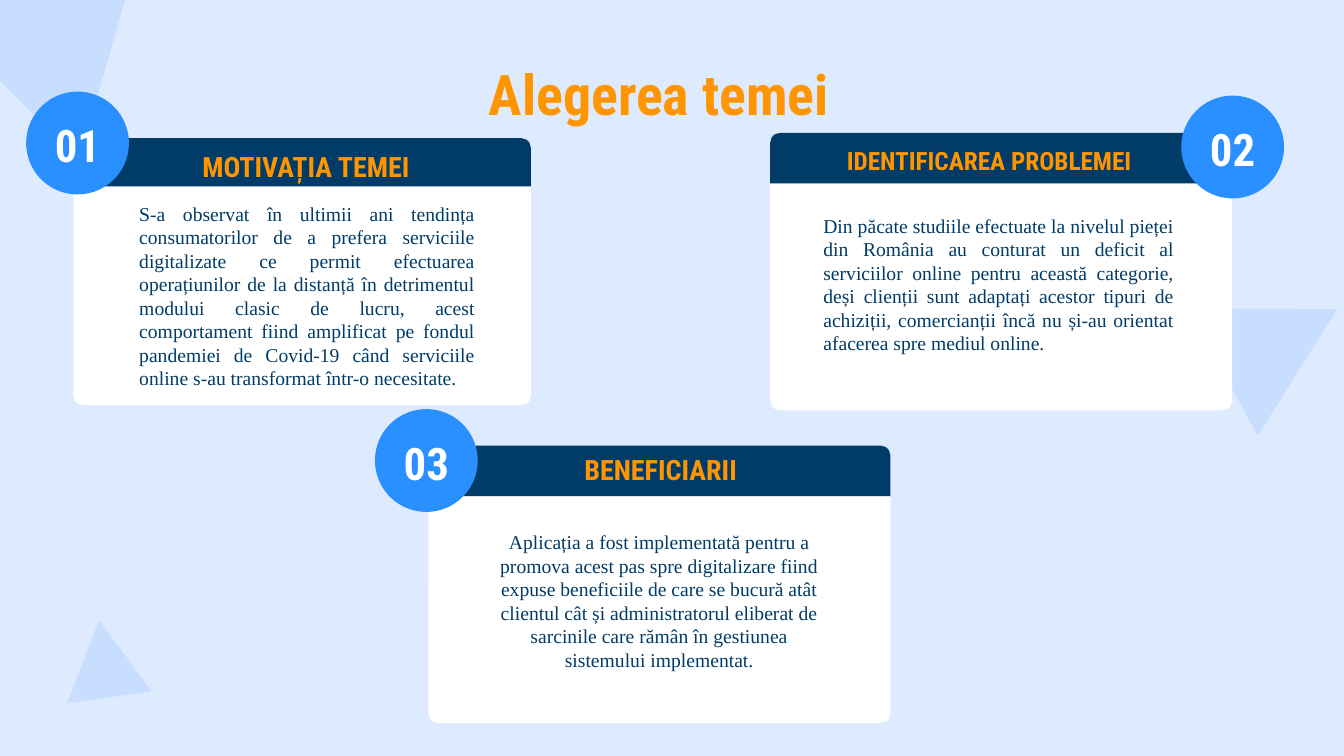
import pptx
import pptx.util
import pptx.dml.color
import pptx.enum.shapes
import pptx.enum.text

Cm, Pt = pptx.util.Cm, pptx.util.Pt
SHAPE = pptx.enum.shapes.MSO_SHAPE
ALIGN = pptx.enum.text.PP_ALIGN
ANCHOR = pptx.enum.text.MSO_ANCHOR

COLORS = {
    "background": "DEEBFF",
    "triangle": "C8DEFF",
    "card": "FFFFFF",
    "navy": "003C67",
    "badge": "2A90FF",
    "orange": "FF9500",
    "number": "FFFFFF",
}
HEADING_FONT = "Roboto Condensed"
BODY_FONT = "Times New Roman"
INSET = 0.33
RADIUS = 0.25
BADGE_SIZE = 2.59

TRIANGLES = [
    ((30.43, 6.93, 3.66, 3.3), 61.2),
    ((-1.68, -3.71, 6.88, 6.22), 45),
    ((1.55, 15.62, 2.16, 1.96), 352.2),
]

CARDS = [
    dict(
        box=(1.85, 3.48, 11.53, 6.73), header_h=1.22,
        number="01", badge_at=(-1.19, -1.17),
        heading="MOTIVAȚIA TEMEI", heading_at=(1.68, -0.18), heading_size=20,
        body="S-a observat în ultimii ani tendința consumatorilor de a prefera "
             "serviciile digitalizate ce permit efectuarea operațiunilor de la "
             "distanță în detrimentul modului clasic de lucru, acest comportament "
             "fiind amplificat pe fondul pandemiei de Covid-19 când serviciile "
             "online s-au transformat într-o necesitate.",
        body_box=(1.33, 1.27, 9.12, 4.27), align=ALIGN.JUSTIFY,
    ),
    dict(
        box=(19.41, 3.35, 11.64, 6.99), header_h=1.27,
        number="02", badge_at=(10.36, -0.94),
        heading="IDENTIFICAREA PROBLEMEI", heading_at=(1.34, -0.12), heading_size=18,
        body="Din păcate studiile efectuate la nivelul pieței din România au "
             "conturat un deficit al serviciilor online pentru această categorie, "
             "deși clienții sunt adaptați acestor tipuri de achiziții, comercianții "
             "încă nu și-au orientat afacerea spre mediul online.",
        body_box=(1.01, 1.7, 9.5, 4.47), align=ALIGN.JUSTIFY,
    ),
    dict(
        box=(10.8, 11.23, 11.64, 6.99), header_h=1.27,
        number="03", badge_at=(-1.35, -0.92),
        heading="BENEFICIARII", heading_at=(1.67, -0.28), heading_size=20,
        body="Aplicația a fost implementată pentru a promova acest pas spre "
             "digitalizare fiind expuse beneficiile de care se bucură atât "
             "clientul cât și administratorul eliberat de sarcinile care rămân "
             "în gestiunea sistemului implementat.",
        body_box=(1.27, 1.8, 9.09, 4.57), align=ALIGN.CENTER,
    ),
]


def rgb(name):
    return pptx.dml.color.RGBColor.from_string(COLORS[name])


def add_filled(s, kind, box, color):
    sp = s.shapes.add_shape(kind, *map(Cm, box))
    sp.shadow.inherit = False
    sp.fill.solid()
    sp.fill.fore_color.rgb = rgb(color)
    sp.line.fill.background()
    return sp


def write(sp, text, size, color, font=HEADING_FONT, bold=True,
          align=ALIGN.CENTER, anchor=ANCHOR.TOP, inset=INSET):
    tf = sp.text_frame
    tf.word_wrap = True
    tf.auto_size = pptx.enum.text.MSO_AUTO_SIZE.NONE
    tf.vertical_anchor = anchor
    tf.margin_left = tf.margin_right = Cm(inset)
    tf.margin_top = tf.margin_bottom = Cm(inset)
    tf.text = text
    p = tf.paragraphs[0]
    p.alignment = align
    r = p.runs[0]
    r.font.name = font
    r.font.size = Pt(size)
    r.font.bold = bold
    r.font.color.rgb = rgb(color)
    return p


def add_background(s):
    s.background.fill.solid()
    s.background.fill.fore_color.rgb = rgb("background")
    for box, angle in TRIANGLES:
        sp = add_filled(s, SHAPE.ISOSCELES_TRIANGLE, box, "triangle")
        sp.rotation = angle


def add_title(s, box, text):
    sp = s.shapes.title
    sp.left, sp.top, sp.width, sp.height = map(Cm, box)
    write(sp, text, 40, "orange")


def add_card(s, box, header_h, number, badge_at, heading, heading_at,
             heading_size, body, body_box, align):
    x, y, w, h = box
    body_h = h - header_h

    panel = add_filled(s, SHAPE.ROUND_2_SAME_RECTANGLE,
                       (x, y + header_h, w, body_h), "card")
    panel.adjustments[0] = 0
    panel.adjustments[1] = RADIUS / body_h
    header = add_filled(s, SHAPE.ROUND_2_SAME_RECTANGLE, (x, y, w, header_h), "navy")
    header.adjustments[0] = RADIUS / header_h

    dx, dy = heading_at
    sp = s.shapes.add_textbox(Cm(x + dx), Cm(y + dy), Cm(8.36), Cm(2.59))
    p = write(sp, heading, heading_size, "orange")
    p.line_spacing = 1.15

    dx, dy, body_w, text_h = body_box
    sp = s.shapes.add_textbox(Cm(x + dx), Cm(y + dy), Cm(body_w), Cm(text_h))
    write(sp, body, 14, "navy", font=BODY_FONT, bold=False, align=align)

    dx, dy = badge_at
    badge = add_filled(s, SHAPE.OVAL, (x + dx, y + dy, BADGE_SIZE, BADGE_SIZE), "badge")
    write(badge, number, 32, "number", anchor=ANCHOR.MIDDLE, inset=0)
    badge.text_frame.margin_top = Cm(0.1)


def main():
    prs = pptx.Presentation()
    prs.slide_width, prs.slide_height = Cm(33.87), Cm(19.05)
    s = prs.slides.add_slide(prs.slide_layouts[5])
    add_background(s)
    add_title(s, (2.31, 1.17, 28.58, 2.39), "Alegerea temei")
    for card in CARDS:
        add_card(s, **card)
    prs.save("out.pptx")


if __name__ == "__main__":
    main()
